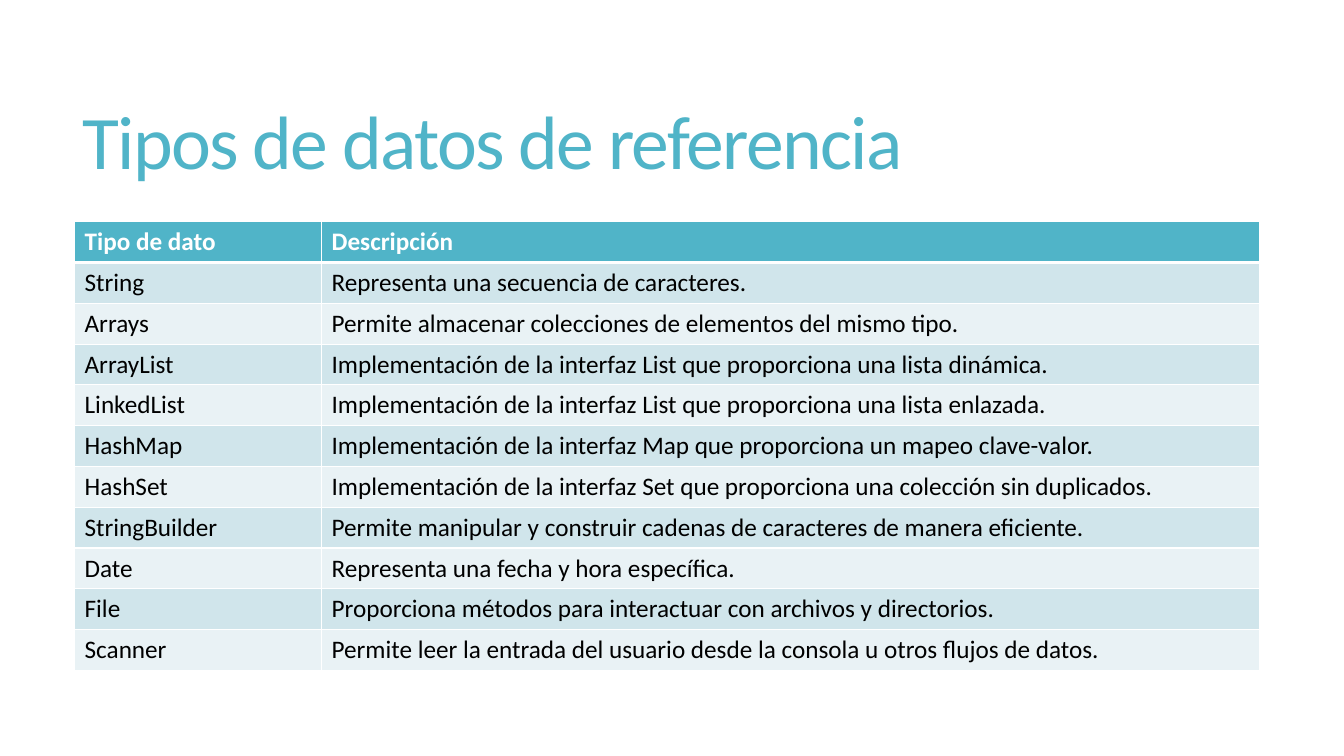
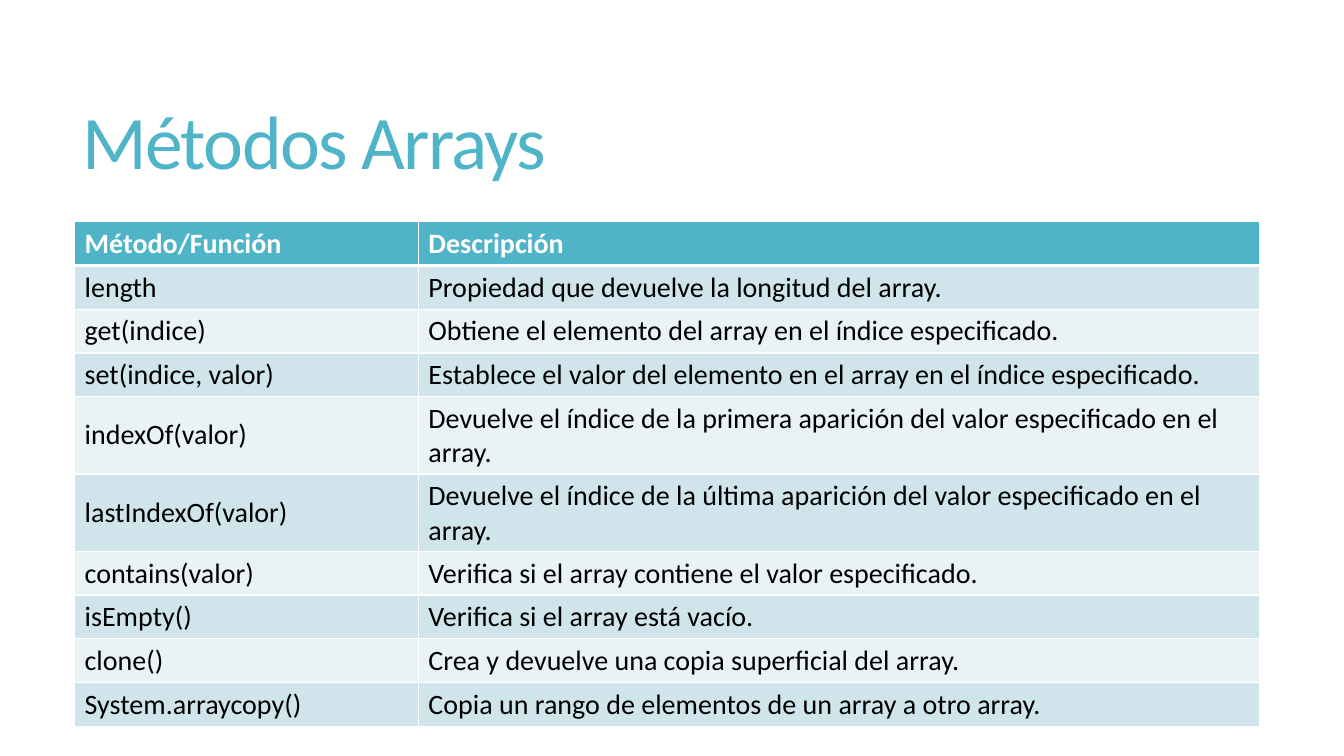
from dataclasses import dataclass

from pptx import Presentation
from pptx.dml.color import RGBColor
from pptx.enum.text import MSO_ANCHOR
from pptx.oxml.ns import qn
from pptx.slide import Slide
from pptx.table import _Cell
from pptx.text.text import TextFrame
from pptx.util import Inches, Pt
from lxml import etree

MIDDLE = MSO_ANCHOR.MIDDLE
WIDE, HIGH = Inches(13.33), Inches(7.5)
FONT = "Calibri"
HUES = {
    "teal": "50B4C8",
    "white": "FFFFFF",
    "black": "000000",
    "dark": "D0E5EB",
    "light": "E9F2F5",
}
BANDS = ("dark", "light")
# Boxes are left, top, width, height in percent of the slide.
TITLE = (5.4, 7.33, 88.37, 24.13)
LEFT, TOP, SPAN, ROW = 5.55, 29.33, 88.2, 5.4


@dataclass(frozen=True)
class Page:
    """One slide: a title over a table of two columns."""
    title: str
    split: float  # first column, percent of the slide's width
    size: int
    rows: list[tuple[str, str]]


PAGES = [
    Page("Tipos de datos de referencia", 18.38, 18, [
        ("Tipo de dato", "Descripción"),
        ("String", "Representa una secuencia de caracteres."),
        ("Arrays", "Permite almacenar colecciones de elementos del mismo tipo."),
        ("ArrayList", "Implementación de la interfaz List que proporciona una lista dinámica."),
        ("LinkedList", "Implementación de la interfaz List que proporciona una lista enlazada."),
        ("HashMap", "Implementación de la interfaz Map que proporciona un mapeo clave-valor."),
        ("HashSet", "Implementación de la interfaz Set que proporciona una colección sin duplicados."),
        ("StringBuilder", "Permite manipular y construir cadenas de caracteres de manera eficiente."),
        ("Date", "Representa una fecha y hora específica."),
        ("File", "Proporciona métodos para interactuar con archivos y directorios."),
        ("Scanner", "Permite leer la entrada del usuario desde la consola u otros flujos de datos."),
    ]),
    Page("Métodos Arrays", 25.58, 20, [
        ("Método/Función", "Descripción"),
        ("length", "Propiedad que devuelve la longitud del array."),
        ("get(indice)", "Obtiene el elemento del array en el índice especificado."),
        ("set(indice, valor)", "Establece el valor del elemento en el array en el índice especificado."),
        ("indexOf(valor)", "Devuelve el índice de la primera aparición del valor especificado en el array."),
        ("lastIndexOf(valor)", "Devuelve el índice de la última aparición del valor especificado en el array."),
        ("contains(valor)", "Verifica si el array contiene el valor especificado."),
        ("isEmpty()", "Verifica si el array está vacío."),
        ("clone()", "Crea y devuelve una copia superficial del array."),
        ("System.arraycopy()", "Copia un rango de elementos de un array a otro array."),
    ]),
]


def across(share: float) -> int:
    """Turn a percentage of the slide's width into a length."""
    return round(WIDE * share / 100)


def down(share: float) -> int:
    """Turn a percentage of the slide's height into a length."""
    return round(HIGH * share / 100)


def write(frame: TextFrame, text: str, size: int, hue: str,
          bold: bool = False, space: int = 0) -> None:
    """Add one styled run to the first paragraph of a frame."""
    run = frame.paragraphs[0].add_run()
    run.text = text
    font = run.font
    font.name, font.size, font.bold = FONT, Pt(size), bold
    font.color.rgb = RGBColor.from_string(HUES[hue])
    if space:
        run._r.get_or_add_rPr().set("spc", str(space))


def add_title(slide: Slide, text: str) -> None:
    """Draw the slide's title."""
    left, top, width, height = TITLE
    box = slide.shapes.add_textbox(across(left), down(top), across(width), down(height))
    frame = box.text_frame
    frame.word_wrap = True
    frame.vertical_anchor = MIDDLE
    frame.paragraphs[0].line_spacing = 0.85
    write(frame, text, 54, "teal", space=-120)


def edge(cell: _Cell, row: int) -> None:
    """Give a cell white borders, thick below the header."""
    props = cell._tc.get_or_add_tcPr()
    widths = {"L": 1, "R": 1, "T": 3 if row == 1 else 1, "B": 3 if row == 0 else 1}
    for side, width in widths.items():
        line = etree.SubElement(props, qn(f"a:ln{side}"), w=str(Pt(width)))
        fill = etree.SubElement(line, qn("a:solidFill"))
        etree.SubElement(fill, qn("a:srgbClr"), val=HUES["white"])


def add_grid(slide: Slide, page: Page) -> None:
    """Draw the banded table of a page."""
    count = len(page.rows)
    grid = slide.shapes.add_table(count, 2, across(LEFT), down(TOP),
                                  across(SPAN), down(ROW * count)).table
    grid.horz_banding = False
    for col, share in zip(grid.columns, (page.split, SPAN - page.split)):
        col.width = across(share)
    for row, texts in enumerate(page.rows):
        head = row == 0
        grid.rows[row].height = down(ROW)
        band = "teal" if head else BANDS[(row - 1) % 2]
        for col, text in enumerate(texts):
            cell = grid.cell(row, col)
            edge(cell, row)
            cell.fill.solid()
            cell.fill.fore_color.rgb = RGBColor.from_string(HUES[band])
            cell.vertical_anchor = MIDDLE
            write(cell.text_frame, text, page.size, "white" if head else "black", head)


def main() -> None:
    """Build and save the slides."""
    deck = Presentation()
    deck.slide_width, deck.slide_height = WIDE, HIGH
    for page in PAGES:
        slide = deck.slides.add_slide(deck.slide_layouts[6])
        add_title(slide, page.title)
        add_grid(slide, page)
    deck.save("out.pptx")


main()
